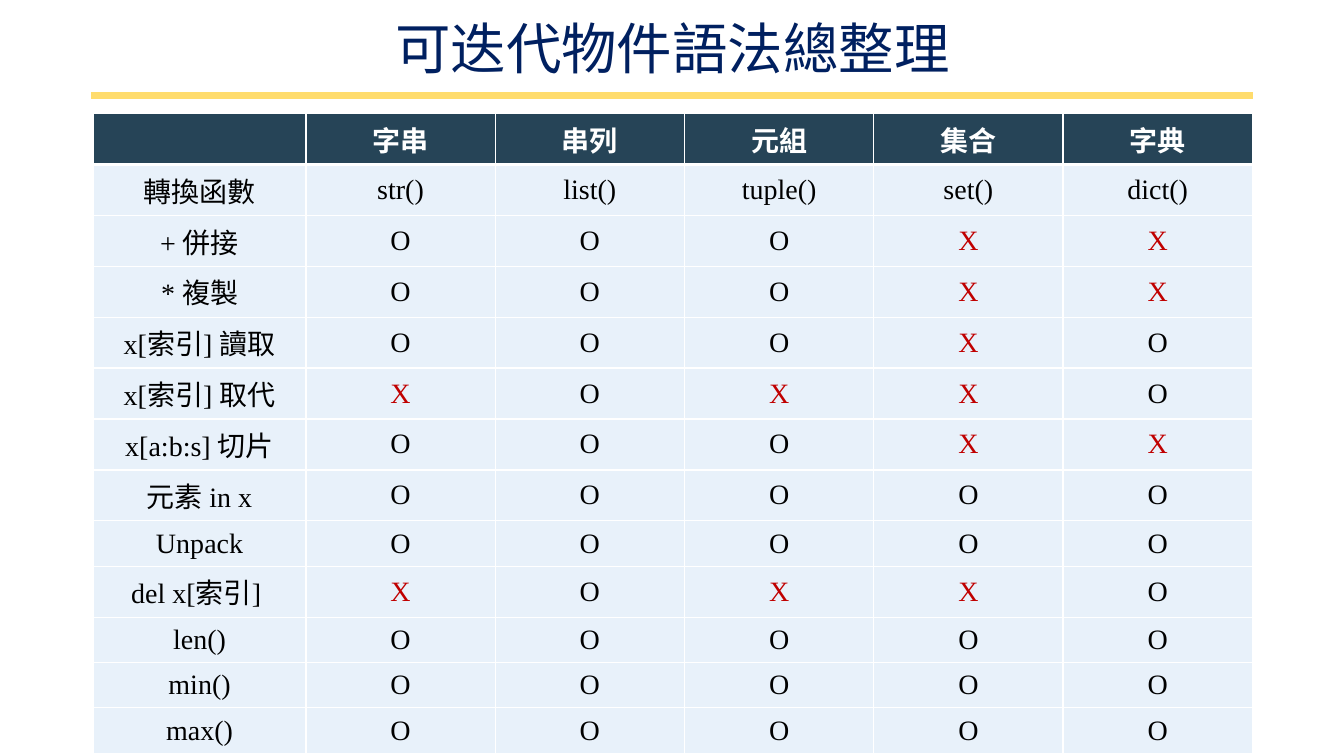
from dataclasses import dataclass

from lxml import etree
from pptx import Presentation, util as u
from pptx.dml import color
from pptx.enum import shapes, text
from pptx.oxml import ns


@dataclass(frozen=True)
class Theme:
    face: str = "Times New Roman"
    navy: str = "002060"
    gold: str = "FFDC6D"
    head: str = "264457"
    body: str = "E8F1FA"
    white: str = "FFFFFF"
    black: str = "000000"
    red: str = "C00000"
    big: float = 39.6
    small: float = 20
    rule: float = 4.5
    thin: float = 1
    thick: float = 3


THEME = Theme()
HEADS = ["", "字串", "串列", "元組", "集合", "字典"]
CALLS = ["轉換函數", "str()", "list()", "tuple()", "set()", "dict()"]
MARKS = {
    "+ 併接": "OOOXX",
    "* 複製": "OOOXX",
    "x[索引] 讀取": "OOOXO",
    "x[索引] 取代": "XOXXO",
    "x[a:b:s] 切片": "OOOXX",
    "元素 in x": "OOOOO",
    "Unpack": "OOOOO",
    "del x[索引] ": "XOXXO",
    "len()": "OOOOO",
    "min()": "OOOOO",
    "max()": "OOOOO",
}


def rgb(code):
    return color.RGBColor.from_string(code)


def write(frame, words, size, tint, bold=False):
    para = frame.paragraphs[0]
    para.alignment = text.PP_ALIGN.CENTER
    run = para.add_run()
    run.text = words
    run.font.color.rgb = rgb(tint)
    style = {"name": THEME.face, "size": u.Pt(size), "bold": bold}
    for key, value in style.items():
        setattr(run.font, key, value)
    return para


def add_title(slide, left, top, width, height, words):
    box = slide.shapes.add_textbox(left, top, width, height)
    style = {"word_wrap": True, "vertical_anchor": text.MSO_ANCHOR.MIDDLE}
    for key, value in style.items():
        setattr(box.text_frame, key, value)
    para = write(box.text_frame, words, THEME.big, THEME.navy)
    para.line_spacing = 0.9


def add_rule(slide, left, top, width):
    line = slide.shapes.add_connector(
        shapes.MSO_CONNECTOR.STRAIGHT, left, top, left + width, top)
    line.line.color.rgb = rgb(THEME.gold)
    line.line.width = u.Pt(THEME.rule)
    etree.SubElement(line._element.spPr, ns.qn("a:effectLst"))


def add_edges(cell, widths):
    props = cell._tc.get_or_add_tcPr()
    for spot, (side, width) in enumerate(widths.items()):
        edge = etree.Element(ns.qn(f"a:ln{side}"), w=str(u.Pt(width)))
        fill = etree.SubElement(edge, ns.qn("a:solidFill"))
        etree.SubElement(fill, ns.qn("a:srgbClr"), val=THEME.white)
        props.insert(spot, edge)


def fill_cell(cell, words, row):
    head = row == 0
    cell.vertical_anchor = text.MSO_ANCHOR.MIDDLE
    cell.fill.solid()
    cell.fill.fore_color.rgb = rgb(THEME.head if head else THEME.body)
    tint = THEME.white if head else THEME.red if words == "X" else THEME.black
    write(cell.text_frame, words, THEME.small, tint, head)
    add_edges(cell, {
        "L": THEME.thin,
        "R": THEME.thin,
        "T": THEME.thick if row == 1 else THEME.thin,
        "B": THEME.thick if head else THEME.thin,
    })


def add_grid(slide, left, top, width, height):
    rows = [HEADS, CALLS] + [[name, *marks] for name, marks in MARKS.items()]
    wide = [max("".join(row)) >= "一" for row in rows]
    first, extra = u.Cm(5.36), u.Cm(0.14)
    low = (height - extra * sum(wide)) // len(rows)
    grid = slide.shapes.add_table(
        len(rows), len(HEADS), left, top, width, height).table
    for spot, col in enumerate(grid.columns):
        col.width = (width - first) // (len(HEADS) - 1) if spot else first
    for spot, row in enumerate(grid.rows):
        row.height = low + extra * wide[spot]
        for cell, words in zip(row.cells, rows[spot]):
            fill_cell(cell, words, spot)


def main():
    deck = Presentation()
    deck.slide_width, deck.slide_height = u.Cm(33.87), u.Cm(19.05)
    slide = deck.slides.add_slide(deck.slide_layouts[6])
    left, width = u.Cm(2.34), u.Cm(29.21)
    add_rule(slide, u.Cm(2.29), u.Cm(2.41), u.Cm(29.29))
    add_title(slide, left, u.Cm(0.46), width, u.Cm(1.68), "可迭代物件語法總整理")
    add_grid(slide, u.Cm(2.35), u.Cm(2.86), width, u.Cm(16.12))
    deck.save("out.pptx")


if __name__ == "__main__":
    main()
